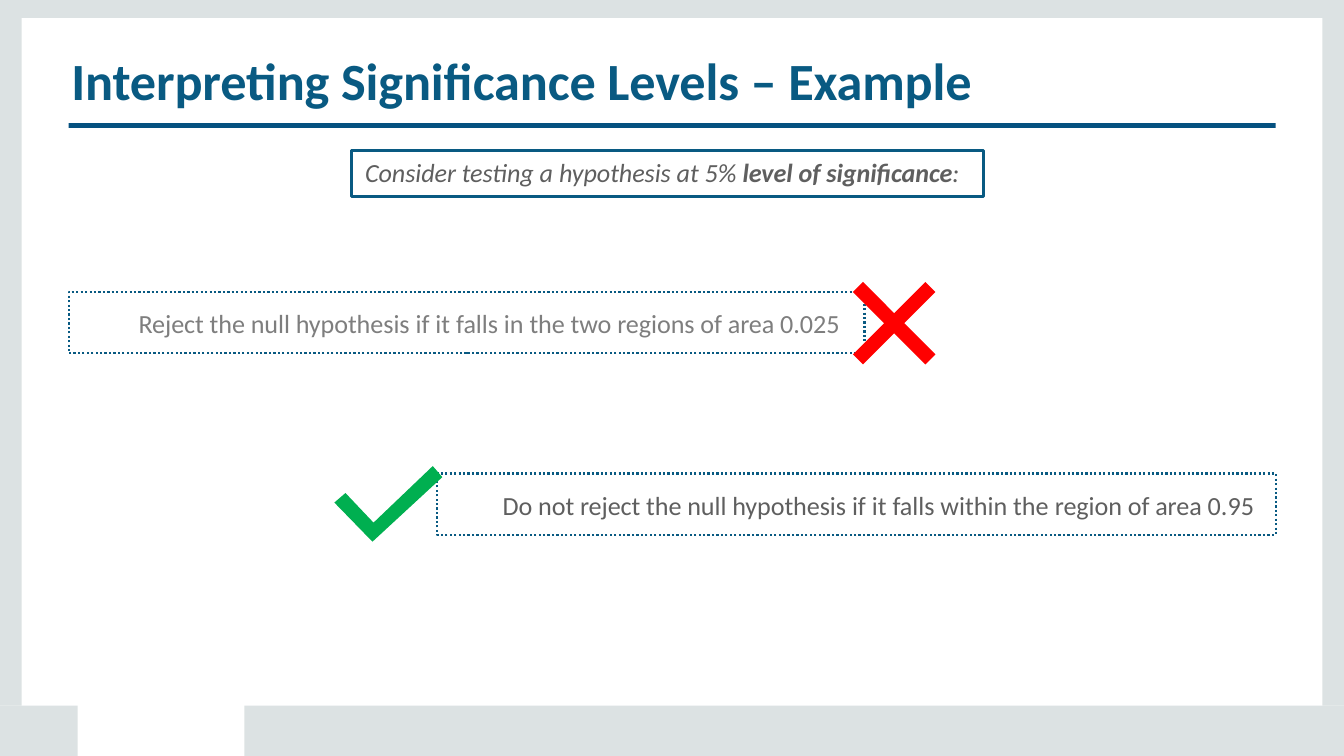
"""Build the slide on interpreting significance levels."""
from pptx import Presentation
from pptx.dml.color import RGBColor
from pptx.enum.dml import MSO_LINE
from pptx.enum.shapes import MSO_SHAPE
from pptx.enum.text import MSO_ANCHOR, PP_ALIGN
from pptx.util import Cm, Pt

RECT = MSO_SHAPE.RECTANGLE
DOTTED = MSO_LINE.ROUND_DOT
TOP = MSO_ANCHOR.TOP
LEFT = PP_ALIGN.LEFT
BLUE, GREY, PALE, FRAME = "095A82", "5F5F5F", "7E7E7E", "DCE2E3"


def paint(sp, fill=None, line=None, width=1.2):
    sp.shadow.inherit = False
    if fill:
        sp.fill.solid()
        sp.fill.fore_color.rgb = RGBColor.from_string(fill)
    else:
        sp.fill.background()
    if line:
        sp.line.color.rgb = RGBColor.from_string(line)
        sp.line.width = Pt(width)
    else:
        sp.line.fill.background()


def write(sp, runs, color, fmt, before, inset=0.03, indent=0.03):
    tf = sp.text_frame
    frame = {"word_wrap": True, "vertical_anchor": TOP, "margin_left": Cm(indent),
             "margin_top": Cm(inset), "margin_right": 0, "margin_bottom": 0}
    for name, value in frame.items():
        setattr(tf, name, value)
    p = tf.paragraphs[0]
    p.alignment = LEFT
    p.space_before = Pt(before)
    for text, spacing, bold in runs:
        r = p.add_run()
        r.text = text
        for name, value in {"name": "Calibri", "bold": bold, **fmt}.items():
            setattr(r.font, name, value)
        r.font.color.rgb = RGBColor.from_string(color)
        r.font._element.set("spc", str(spacing))


prs = Presentation()
prs.slide_width, prs.slide_height = Cm(25.4), Cm(14.29)
s = prs.slides.add_slide(prs.slide_layouts[6])

bars = [
    (24.99, 0.34, 0.41, 13, FRAME),
    (0, 0.34, 0.41, 13, FRAME),
    (4.62, 13.34, 20.78, 0.95, FRAME),
    (0, 13.34, 1.47, 0.95, FRAME),
    (0, 0, 25.4, 0.34, FRAME),
    (1.3, 2.33, 22.81, 0.09, "055180"),
]
for *box, color in bars:
    sp = s.shapes.add_shape(RECT, *map(Cm, box))
    paint(sp, fill=color)

title = s.shapes.add_textbox(Cm(1.32), Cm(0.89), Cm(17.3), Cm(1.24))
write(title, [("Interpreting Significance Levels – Example", -5, True)],
      BLUE, {"size": Pt(28)}, 0.9)

prompt = s.shapes.add_shape(RECT, Cm(6.65), Cm(2.85), Cm(11.94), Cm(0.86))
paint(prompt, line=BLUE, width=1.56)
write(prompt, [("Consider testing ", -5, False), ("a ", 0, False),
               ("hypothesis at ", -5, False), ("5% ", 0, False),
               ("level of significance", -5, True), (":", -5, False)],
      GREY, {"size": Pt(14), "italic": True}, 2.8, inset=0.1, indent=0.25)

rules = [
    ((1.3, 5.52, 15.04, 1.16), (2.59, 5.79, 13.41, 0.66), PALE,
     [("Reject the null hypothesis ", -5), ("if it ", 0), ("falls ", -5),
      ("in ", 0), ("the two regions of area 0.025", -5)]),
    ((8.26, 8.95, 15.85, 1.16), (9.47, 9.22, 14.38, 0.66), GREY,
     [("Do not reject the null hypothesis ", -5), ("if it ", 0), ("falls ", -5),
      ("within the ", 0), ("region of area ", -5), ("0.95", 0)]),
]
for outline, box, color, runs in rules:
    sp = s.shapes.add_shape(RECT, *map(Cm, outline))
    paint(sp, line=BLUE)
    sp.line.dash_style = DOTTED
    label = s.shapes.add_textbox(*map(Cm, box))
    write(label, [(text, spacing, False) for text, spacing in runs],
          color, {"size": Pt(14)}, 1)

check = [(6.53, 9.32), (6.32, 9.5), (7.04, 10.24), (8.36, 9.02), (8.18, 8.81), (7.06, 9.88)]
cross = []
arm = [(0, -0.19), (0.59, -0.78), (0.78, -0.59)]
for turn in range(4):
    cross += [(16.9 + x, 6.11 + y) for x, y in arm]
    arm = [(-y, x) for x, y in arm]

for points, color in [(check, "00AF50"), (cross, "FF0000")]:
    points = [(Cm(x), Cm(y)) for x, y in points]
    fb = s.shapes.build_freeform(*points[0])
    fb.add_line_segments(points[1:], close=True)
    paint(fb.convert_to_shape(), fill=color)

prs.save("out.pptx")
